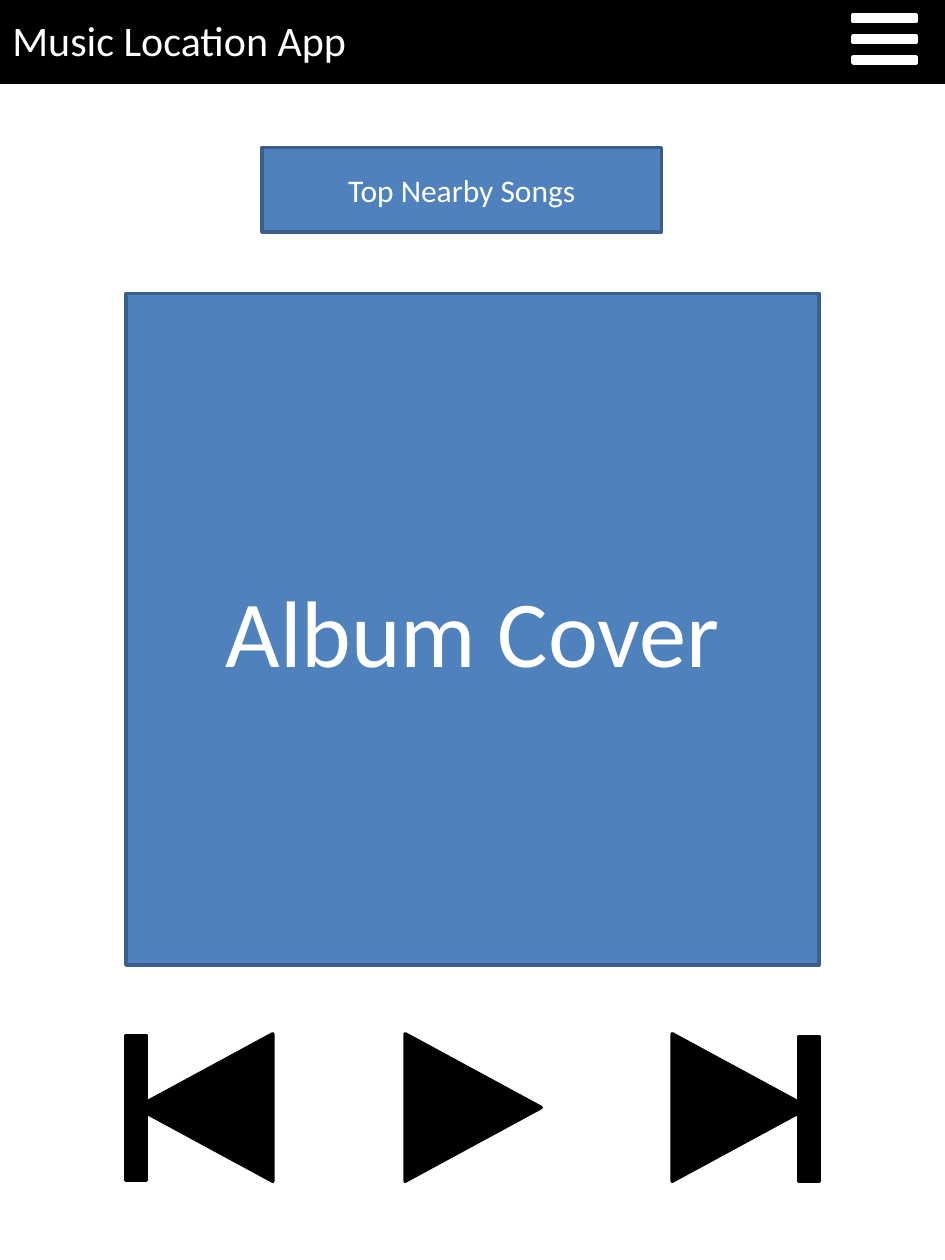
from pptx import Presentation
from pptx.dml.color import RGBColor
from pptx.enum.shapes import MSO_SHAPE
from pptx.enum.text import MSO_ANCHOR, PP_ALIGN
from pptx.util import Inches, Pt

RECT = MSO_SHAPE.RECTANGLE
TRI = MSO_SHAPE.ISOSCELES_TRIANGLE
MINUS = MSO_SHAPE.MATH_MINUS
LEFT, CENTER = PP_ALIGN.LEFT, PP_ALIGN.CENTER
MIDDLE = MSO_ANCHOR.MIDDLE
BLACK, WHITE, BLUE, NAVY = "000000", "FFFFFF", "4F81BD", "3A5F8C"


def color(code):
    return RGBColor.from_string(code)


def draw(slide, kind, box, fill, line, turn=0):
    shape = slide.shapes.add_shape(kind, *[Inches(v) for v in box])
    shape.rotation = turn
    shape.shadow.inherit = False
    shape.fill.solid()
    shape.fill.fore_color.rgb = color(fill)
    shape.line.color.rgb = color(line)
    shape.line.width = Pt(2)
    return shape


def panel(slide, box, text, size, fill=BLUE, line=NAVY, align=CENTER):
    frame = draw(slide, RECT, box, fill, line).text_frame
    frame.text = text
    frame.vertical_anchor = MIDDLE
    para = frame.paragraphs[0]
    para.alignment = align
    font = para.runs[0].font
    font.name, font.size = "Calibri", Pt(size)
    font.color.rgb = color(WHITE)


def header(slide, x, y, w, h):
    panel(slide, (x, y, w, h), "Music Location App", 24, BLACK, BLACK, LEFT)
    # Menu icon
    for i in range(3):
        bar = (x + w - 0.73, y + 0.14 + i * 0.165, 0.5, 0.05)
        draw(slide, RECT, bar, WHITE, WHITE)


def player(slide, x, y, w, h):
    # Play, next and back arrows
    for left, turn in ((2.17, 90), (4.29, 90), (0.04, 270)):
        draw(slide, TRI, (x + left, y, w, h), BLACK, BLACK, turn)
    # Stop bars beside back and next
    for left, top in ((-0.7, 0.19), (4.64, 0.2)):
        draw(slide, MINUS, (x + left, y + top, 1.56, 0.71), BLACK, BLACK, 90)


deck = Presentation()
deck.slide_width, deck.slide_height = Inches(7.5), Inches(10)
page = deck.slides.add_slide(deck.slide_layouts[6])

# Song panels
panel(page, (1, 2.33, 5.5, 5.33), "Album Cover", 54)
panel(page, (2.08, 1.17, 3.17, 0.67), "Top Nearby Songs", 18)
player(page, 1, 8.25, 1.17, 1.08)
header(page, 0, -0.02, 7.5, 0.67)

deck.save("out.pptx")
